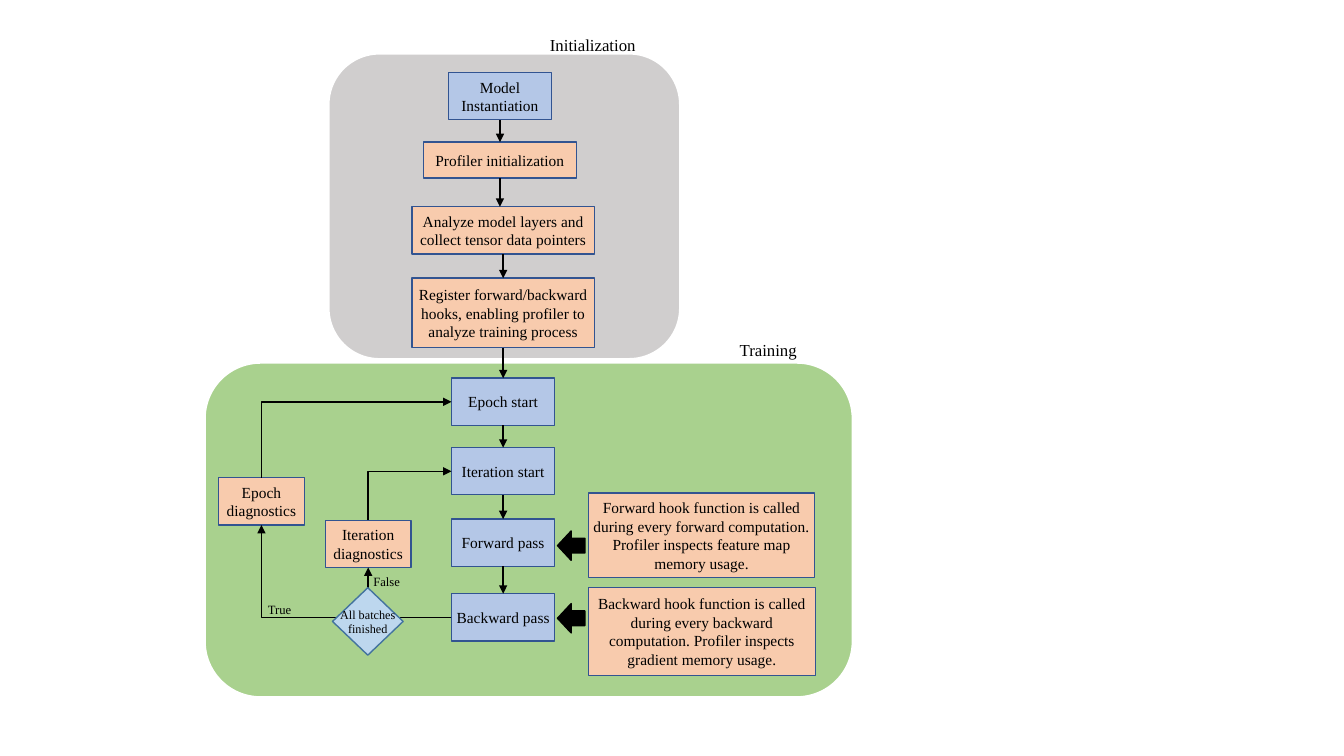
"""Flowchart of a training profiler: initialization steps and the training loop."""
import lxml.etree
import pptx
import pptx.dml.color
import pptx.enum.shapes
import pptx.enum.text
import pptx.oxml.ns
import pptx.util

Cm = pptx.util.Cm
Pt = pptx.util.Pt
Kind = pptx.enum.shapes.MSO_SHAPE
Connector = pptx.enum.shapes.MSO_CONNECTOR
Align = pptx.enum.text.PP_ALIGN
qn = pptx.oxml.ns.qn

FONT = "Times New Roman"
BLACK, WHITE, OUTLINE = "000000", "FFFFFF", "325491"
MODEL, PROFILER = "B4C7E7", "F8CBAD"

# left, top, width, height, fill
panels = [
    (5.16, 9.14, 16.33, 8.43, "A9D18E"),
    (8.28, 1.35, 8.86, 7.7, "D0CECE"),
]
# text: centre, top, width, height, fill
steps = {
    "Model Instantiation": (12.6, 1.83, 2.6, 1.19, MODEL),
    "Profiler initialization": (12.6, 3.58, 3.86, 0.91, PROFILER),
    "Analyze model layers and collect tensor data pointers": (12.68, 5.21, 4.6, 1.19, PROFILER),
    "Register forward/backward hooks, enabling profiler to analyze training process":
        (12.68, 7.01, 4.6, 1.75, PROFILER),
    "Epoch start": (12.68, 9.53, 2.6, 1.19, MODEL),
    "Iteration start": (12.68, 11.28, 2.6, 1.19, MODEL),
    "Forward pass": (12.68, 13.08, 2.6, 1.19, MODEL),
    "Backward pass": (12.68, 14.96, 2.6, 1.19, MODEL),
}
diagnostics = {
    "Iteration diagnostics": (9.28, 13.11, 2.16, 1.19, PROFILER),
    "Epoch diagnostics": (6.59, 12.04, 2.16, 1.19, PROFILER),
}
hooks = {
    "Forward hook function is called during every forward computation. "
    "Profiler inspects feature map memory usage.": (17.68, 12.42, 5.69, 2.13, PROFILER),
    "Backward hook function is called during every backward computation. "
    "Profiler inspects gradient memory usage.": (17.69, 14.81, 5.72, 2.21, PROFILER),
}
loops = [
    ("Iteration diagnostics", "Iteration start"),
    ("Epoch diagnostics", "Epoch start"),
]
hook_arrow_centres = [13.75, 15.58]
decision = ("All batches\vfinished", (9.27, 14.81, 1.78, 1.7, "BDD7EE"))
# text, left, top, width, height, size, alignment
labels = [
    ("Initialization", 13.61, 0.74, 2.72, 0.76, 12, Align.LEFT),
    ("Training", 18.39, 8.43, 1.98, 0.76, 12, Align.LEFT),
    ("True", 5.99, 15.04, 2.11, 0.64, 9, Align.CENTER),
    ("False", 8.69, 14.33, 2.11, 0.64, 9, Align.CENTER),
]


def color(value):
    return pptx.dml.color.RGBColor.from_string(value)


def write(shape, text, size, align):
    paragraph = shape.text_frame.paragraphs[0]
    paragraph.text = text
    paragraph.alignment = align
    paragraph.font.name = FONT
    paragraph.font.size = Pt(size)
    paragraph.font.color.rgb = color(BLACK)


def add_block(kind, left, top, width, height, fill, line, line_width=1):
    block = slide.shapes.add_shape(kind, Cm(left), Cm(top), Cm(width), Cm(height))
    block.shadow.inherit = False
    block.fill.solid()
    block.fill.fore_color.rgb = color(fill)
    block.line.color.rgb = color(line)
    block.line.width = Pt(line_width)
    return block


def add_box(text, geometry, kind=Kind.RECTANGLE, line=OUTLINE, size=11, wrap=True):
    centre, top, width, height, fill = geometry
    box = add_block(kind, centre - width / 2, top, width, height, fill, line)
    frame = box.text_frame
    frame.word_wrap = wrap
    frame.margin_left = frame.margin_right = Cm(0.1)
    frame.margin_top = frame.margin_bottom = 0
    frame.vertical_anchor = pptx.enum.text.MSO_ANCHOR.MIDDLE
    write(box, text, size, Align.CENTER)


def add_arrow(start, end, kind=Connector.STRAIGHT, head="tailEnd"):
    arrow = slide.shapes.add_connector(kind, *(Cm(value) for value in start + end))
    arrow.line.color.rgb = color(BLACK)
    arrow.line.width = Pt(1)
    properties = arrow._element.spPr
    if kind == Connector.ELBOW:
        properties.find(qn("a:prstGeom")).set("prst", "bentConnector2")
    lxml.etree.SubElement(properties.find(qn("a:ln")), qn("a:" + head), type="triangle")
    lxml.etree.SubElement(properties, qn("a:effectLst"))


def left_side(geometry):
    centre, top, width, height, _ = geometry
    return centre - width / 2, top + height / 2


def top_side(geometry):
    return geometry[0], geometry[1]


def bottom_side(geometry):
    return geometry[0], geometry[1] + geometry[3]


presentation = pptx.Presentation()
presentation.slide_width = Cm(33.87)
presentation.slide_height = Cm(19.05)
slide = presentation.slides.add_slide(presentation.slide_layouts[6])

for *place, fill in panels:
    add_block(Kind.ROUNDED_RECTANGLE, *place, fill, WHITE, 1.5)

for text, geometry in {**steps, **diagnostics, **hooks}.items():
    add_box(text, geometry)

sequence = list(steps.values())
for step, following in zip(sequence, sequence[1:]):
    add_arrow(bottom_side(step), (step[0], following[1]))

for diagnostic, restart in loops:
    check = diagnostics[diagnostic]
    add_arrow(left_side(steps["Backward pass"]), bottom_side(check), Connector.ELBOW)
    add_arrow(left_side(steps[restart]), top_side(check), Connector.ELBOW, "headEnd")

for centre in hook_arrow_centres:
    add_block(Kind.LEFT_ARROW, 14.05, centre - 0.37, 0.69, 0.74, BLACK, BLACK)

add_box(*decision, Kind.DIAMOND, "43739E", 8.7, False)

for text, left, top, width, height, size, align in labels:
    label = slide.shapes.add_textbox(Cm(left), Cm(top), Cm(width), Cm(height))
    label.text_frame.word_wrap = align == Align.CENTER
    write(label, text, size, align)

presentation.save("out.pptx")
